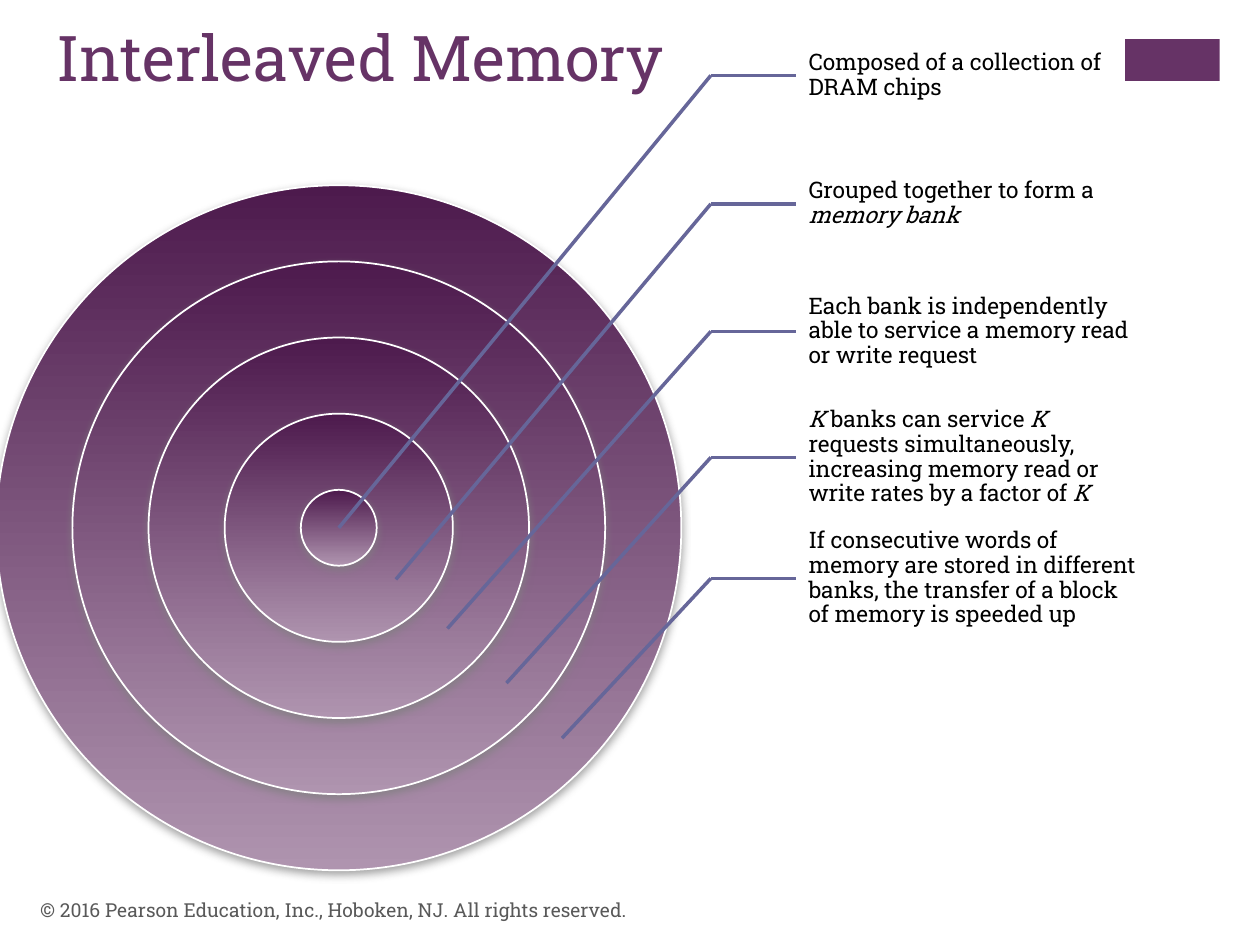
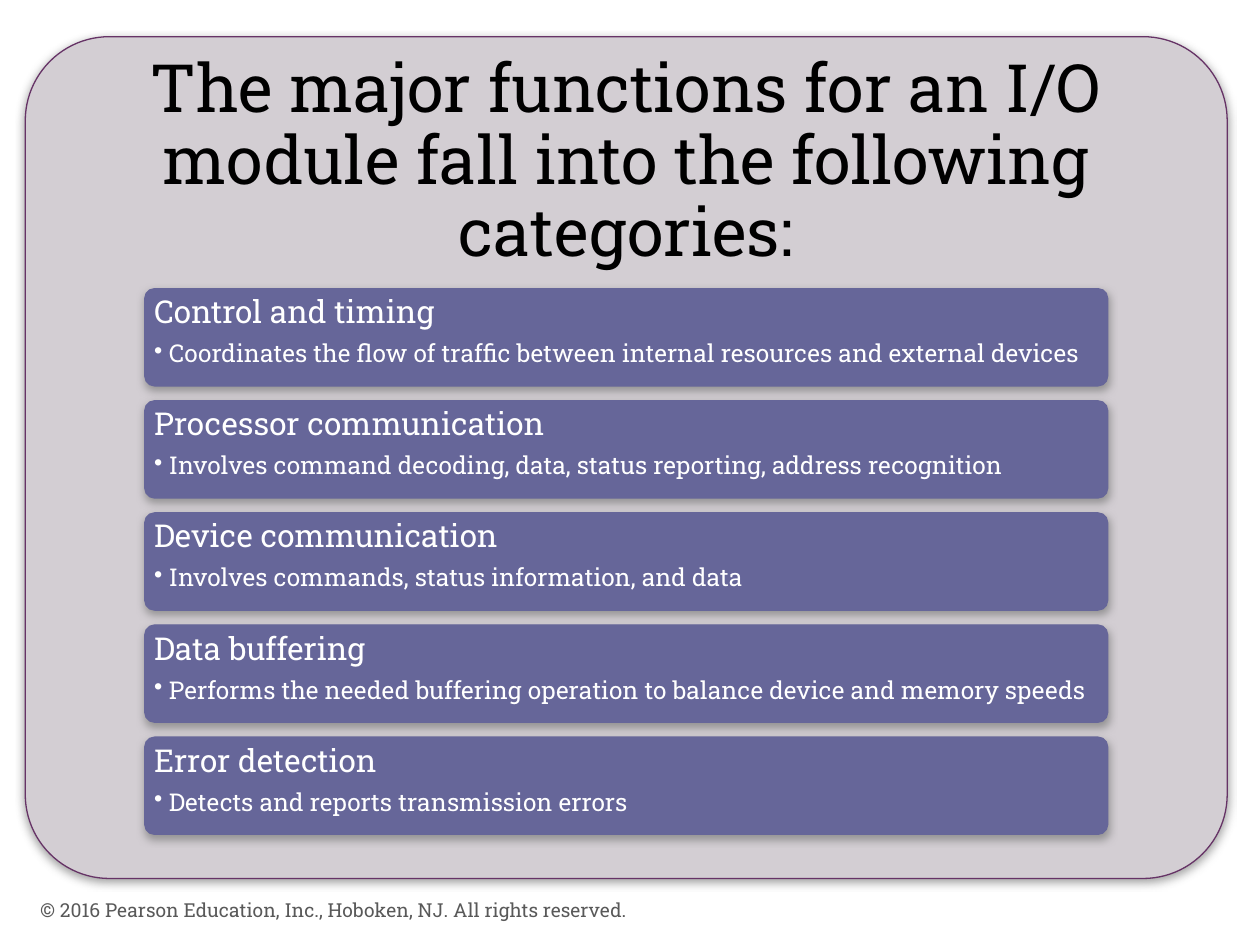
from dataclasses import dataclass
from typing import Optional

from lxml.etree import SubElement
from pptx import Presentation
from pptx.dml.color import RGBColor
from pptx.enum.shapes import MSO_CONNECTOR as Connector, MSO_SHAPE as Preset
from pptx.enum.text import MSO_ANCHOR as Anchor, PP_ALIGN as Align
from pptx.oxml.ns import qn
from pptx.util import Cm, Pt

FONT = "Roboto Slab"
PURPLE = RGBColor(0x66, 0x33, 0x66)
DARK_PURPLE = RGBColor(0x4D, 0x1A, 0x4D)
PALE_PURPLE = RGBColor(0xAF, 0x94, 0xAF)
PANEL_GREY = RGBColor(0xD3, 0xCE, 0xD3)
SLATE = RGBColor(0x66, 0x66, 0x99)
SHADOW_GREY = RGBColor(0x80, 0x80, 0x80)
FOOTER_GREY = RGBColor(0x59, 0x59, 0x59)
BLACK = RGBColor(0, 0, 0)
WHITE = RGBColor(255, 255, 255)

TIGHT = 0.9  # line spacing of diagram text
FOOTER = "© 2016 Pearson Education, Inc., Hoboken, NJ. All rights reserved."


@dataclass(frozen=True)
class Area:
    """Left, top, width and height in centimetres."""
    left: float
    top: float
    width: float
    height: float

    def lengths(self) -> tuple:
        return Cm(self.left), Cm(self.top), Cm(self.width), Cm(self.height)


@dataclass(frozen=True)
class Callout:
    """A label, its middle height and the ring point it refers to."""
    text: str  # words between asterisks are italic
    middle: float
    target_x: float
    target_y: float


@dataclass(frozen=True)
class Card:
    heading: str
    detail: str


CALLOUTS = (
    Callout("Composed of a collection of DRAM chips", 1.52, 6.83, 10.64),
    Callout("Grouped together to form a *memory bank*", 4.11, 7.98, 11.68),
    Callout("Each bank is independently able to service a memory read or write request",
            6.68, 9.02, 12.67),
    Callout("*K* banks can service *K* requests simultaneously, increasing memory read "
            "or write rates by a factor of *K*", 9.22, 10.21, 13.77),
    Callout("If consecutive words of memory are stored in different banks, the transfer "
            "of a block of memory is speeded up", 11.66, 11.33, 14.88),
)

CARDS = (
    Card("Control and timing",
         "Coordinates the flow of traffic between internal resources and external devices"),
    Card("Processor communication",
         "Involves command decoding, data, status reporting, address recognition"),
    Card("Device communication", "Involves commands, status information, and data"),
    Card("Data buffering",
         "Performs the needed buffering operation to balance device and memory speeds"),
    Card("Error detection", "Detects and reports transmission errors"),
)


def add_text(frame, text: str, *, size: float, color: RGBColor = BLACK, align=Align.LEFT,
             spacing: float = 1.0, after: float = 0, bullet_indent: float = 0) -> None:
    """Write one paragraph, filling the empty first one before adding more."""
    para = frame.paragraphs[0] if not frame.text else frame.add_paragraph()
    if bullet_indent:
        properties = para._p.get_or_add_pPr()
        properties.set("marL", str(Cm(bullet_indent)))
        properties.set("indent", str(-Cm(bullet_indent)))
        SubElement(properties, qn("a:buChar")).set("char", "•")
    para.alignment, para.line_spacing, para.space_after = align, spacing, Pt(after)
    for index, part in enumerate(text.split("*")):
        if part:
            span = para.add_run()
            span.text = part
            span.font.name, span.font.size = FONT, Pt(size)
            span.font.color.rgb = color
            span.font.italic = index % 2 == 1


def set_frame(frame, insets: tuple, anchor) -> None:
    frame.word_wrap = True
    frame.vertical_anchor = anchor
    (frame.margin_left, frame.margin_top,
     frame.margin_right, frame.margin_bottom) = map(Cm, insets)


def add_box(page, area: Area, insets: tuple = (0.25, 0.13, 0.25, 0.13),
            anchor=Anchor.MIDDLE):
    box = page.shapes.add_textbox(*area.lengths())
    set_frame(box.text_frame, insets, anchor)
    return box


def add_shadow(shape) -> None:
    shadow = SubElement(shape._element.spPr.find(qn("a:effectLst")), qn("a:outerShdw"),
                        blurRad=str(Pt(5)), dist=str(Pt(2)), dir="5400000",
                        rotWithShape="0")
    color = SubElement(shadow, qn("a:srgbClr"), val=str(SHADOW_GREY))
    SubElement(color, qn("a:alpha"), val="75000")


def add_figure(page, preset, area: Area, *, fill: Optional[RGBColor] = None,
               line: Optional[RGBColor] = None, width: float = 0.75):
    """Draw a preset shape; without a fill colour it gets the purple gradient."""
    shape = page.shapes.add_shape(preset, *area.lengths())
    shape.shadow.inherit = False
    if fill is not None:
        shape.fill.solid()
        shape.fill.fore_color.rgb = fill
    else:
        shape.fill.gradient()
        shape.fill.gradient_angle = 270
        for stop, color in zip(shape.fill.gradient_stops, (DARK_PURPLE, PALE_PURPLE)):
            stop.color.rgb = color
    if preset == Preset.ROUNDED_RECTANGLE:
        shape.adjustments[0] = 0.1
    if line is None:
        shape.line.fill.background()
    else:
        shape.line.color.rgb = line
        shape.line.width = Pt(width)
        add_shadow(shape)
    return shape


def add_leader(page, *ends: float):
    leader = page.shapes.add_connector(Connector.STRAIGHT, *map(Cm, ends))
    leader.line.color.rgb = SLATE
    leader.line.width = Pt(2)
    SubElement(leader._element.spPr, qn("a:effectLst"))
    return leader


def add_callout(page, callout: Callout) -> None:
    elbow, left, height = 14.33, 16.05, 2.44
    box = add_box(page, Area(left, callout.middle - height / 2, 6.91, height),
                  insets=(0.25, 0.05, 0.05, 0.05))
    add_text(box.text_frame, callout.text, size=13, spacing=TIGHT)
    add_leader(page, elbow, callout.middle, left, callout.middle).end_connect(box, 1)
    add_leader(page, elbow, callout.middle, callout.target_x, callout.target_y)


def add_card(page, card: Card, area: Area) -> None:
    shape = add_figure(page, Preset.ROUNDED_RECTANGLE, area, fill=SLATE, line=SLATE)
    frame = shape.text_frame
    set_frame(frame, (0.13, 0.1, 0.13, 0.1), Anchor.TOP)
    add_text(frame, card.heading, size=18, color=WHITE, spacing=TIGHT, after=6.3)
    add_text(frame, card.detail, size=14, color=WHITE, spacing=TIGHT, bullet_indent=0.3)


def add_page(deck):
    """Add a blank page with the shared footer."""
    page = deck.slides.add_slide(deck.slide_layouts[6])
    footer = add_box(page, Area(0.56, 17.83, 17.02, 1.02))
    add_text(footer.text_frame, FOOTER, size=11, color=FOOTER_GREY)
    return page


def build_memory_page(deck) -> None:
    page = add_page(deck)
    add_figure(page, Preset.RECTANGLE, Area(22.68, 0.79, 1.91, 0.84), fill=PURPLE)
    title = add_box(page, Area(0.89, 0.33, 20.98, 3.1), (0.25, 0.05, 0.25, 0.05), Anchor.TOP)
    add_text(title.text_frame, "Interleaved Memory", size=36, color=PURPLE)

    # Concentric rings, largest first
    center_x, center_y, core, step = 6.83, 10.64, 1.53, 3.07
    for ring in reversed(range(len(CALLOUTS))):
        size = core + ring * step
        area = Area(center_x - size / 2, center_y - size / 2, size, size)
        add_figure(page, Preset.OVAL, area, line=WHITE, width=1)

    for callout in CALLOUTS:
        add_callout(page, callout)


def build_functions_page(deck) -> None:
    page = add_page(deck)
    panel = Area(0.51, 0.74, 24.23, 16.97)
    add_figure(page, Preset.ROUNDED_RECTANGLE, panel, fill=PANEL_GREY, line=PURPLE)
    heading = add_box(page, Area(panel.left, panel.top, panel.width, 5.08), (0.41,) * 4)
    add_text(heading.text_frame,
             "The major functions for an I/O module fall into the following categories:",
             size=38, align=Align.CENTER, spacing=TIGHT)

    # Evenly stacked cards
    for row, card in enumerate(CARDS):
        add_card(page, card, Area(2.92, 5.82 + row * 2.26, 19.41, 1.96))


def main() -> None:
    deck = Presentation()
    deck.slide_width, deck.slide_height = Cm(25.4), Cm(19.05)
    build_memory_page(deck)
    build_functions_page(deck)
    deck.save("out.pptx")


if __name__ == "__main__":
    main()
